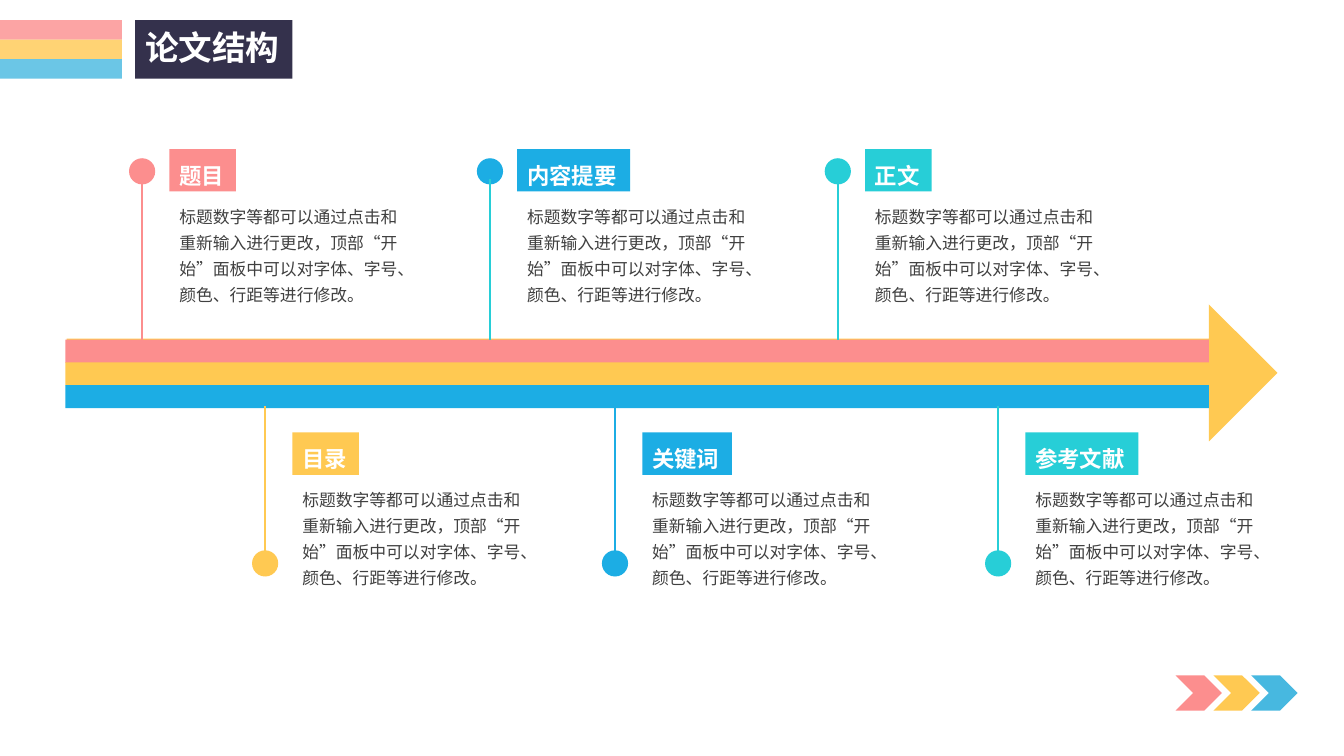
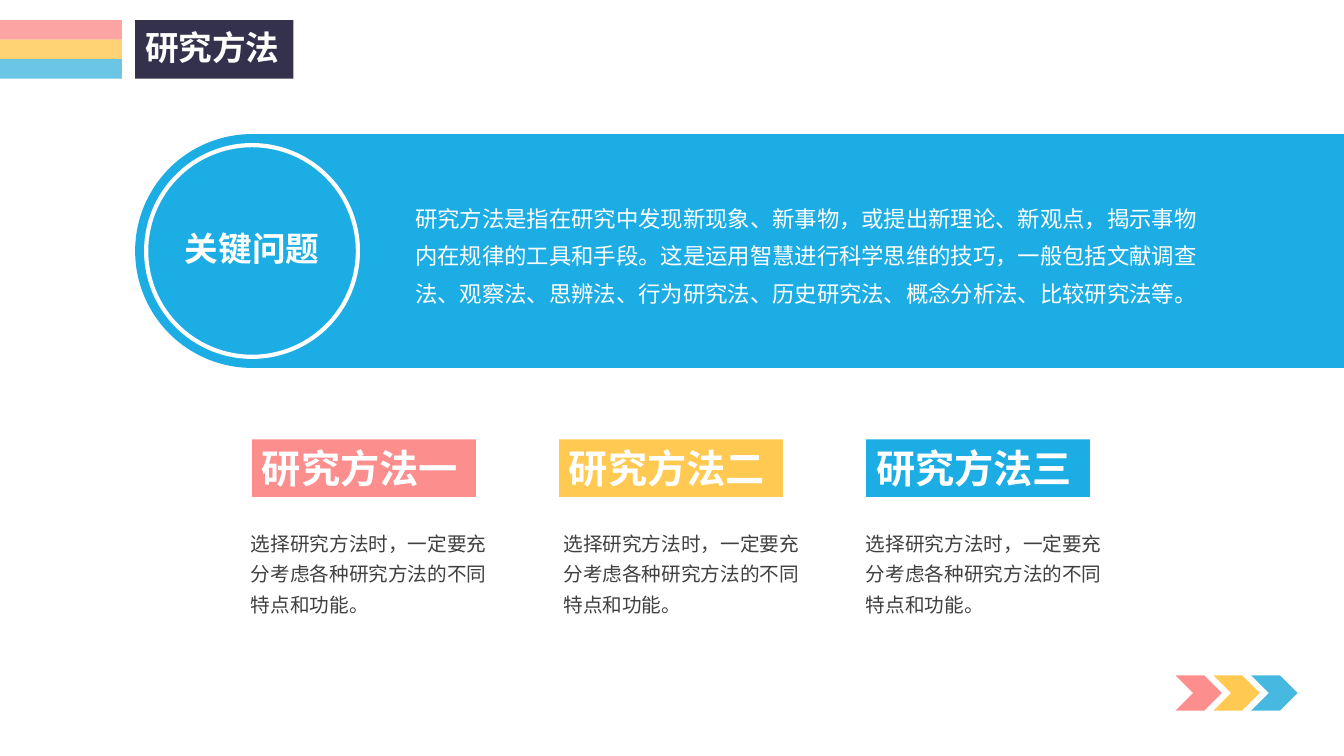
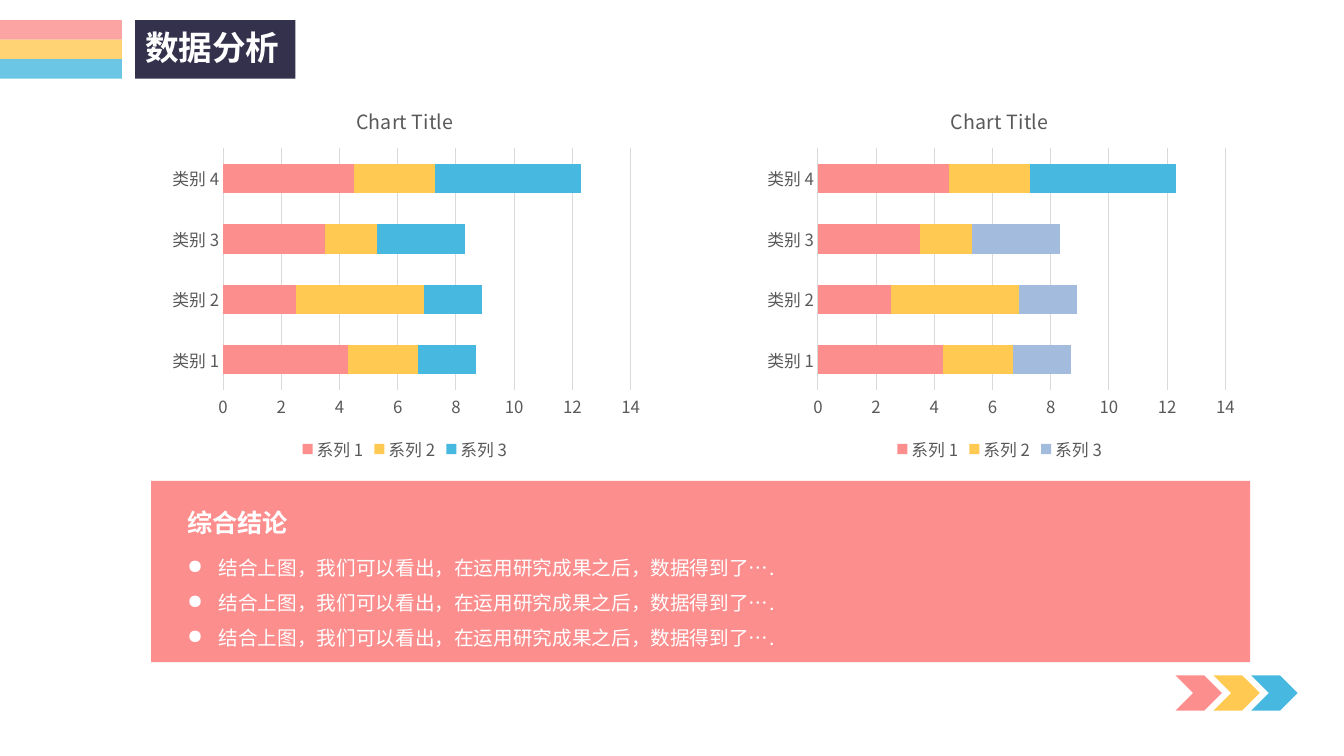
from dataclasses import dataclass

from lxml import etree
from pptx import Presentation, util as u
from pptx.chart import data
from pptx.dml import color
from pptx.enum import chart as charts, shapes, text
from pptx.oxml import ns

Inches, Pt = u.Inches, u.Pt
SHAPE = shapes.MSO_SHAPE


@dataclass(frozen=True)
class Theme:
    pink: str = "FC8E8E"
    yellow: str = "FFC952"
    sky: str = "47B8E0"
    blue: str = "1CADE4"
    teal: str = "27CED7"
    lilac: str = "A3BBDC"
    navy: str = "34314C"
    white: str = "FFFFFF"
    ink: str = "404040"
    axis: str = "595959"
    grid: str = "D9D9D9"
    body_font: str = "Noto Sans CJK SC"
    tag_font: str = "Calibri"
    small: int = 12
    body: int = 14
    lead: int = 16
    heading: int = 18
    title: int = 24
    large: int = 28
    line_height: float = 1.19


T = Theme()


def rgb(value):
    return color.RGBColor.from_string(value)


def add_east_asian(element):
    for latin in list(element.iter(ns.qn("a:latin"))):
        ea = etree.Element(ns.qn("a:ea"), typeface=T.body_font)
        latin.addnext(ea)


class Deck:
    def __init__(self):
        self.prs = Presentation()
        self.prs.slide_width = Inches(13.33)
        self.prs.slide_height = Inches(7.5)
        self.s = None

    def slide(self, title, title_width):
        self.s = self.prs.slides.add_slide(self.prs.slide_layouts[6])
        band = 0.58 / 3
        for i, fill in enumerate((T.pink, T.yellow, T.sky)):
            self.shape(SHAPE.RECTANGLE, 0, 0.2 + i * band, 1.21, band, fill, alpha=80)
            self.shape(SHAPE.CHEVRON, 11.66 + i * 0.375, 6.7, 0.46, 0.35, fill)
        sp = self.shape(SHAPE.RECTANGLE, 1.34, 0.2, title_width, 0.58, T.navy)
        sp.text_frame.vertical_anchor = text.MSO_ANCHOR.MIDDLE
        self.set_text(sp, [title], T.title, T.white, bold=True, spacing=0.9)

    def shape(self, kind, x, y, w, h, fill=None, line=None, alpha=None):
        sp = self.s.shapes.add_shape(kind, Inches(x), Inches(y), Inches(w), Inches(h))
        sp.shadow.inherit = False
        sp.text_frame.vertical_anchor = text.MSO_ANCHOR.TOP
        if fill:
            sp.fill.solid()
            sp.fill.fore_color.rgb = rgb(fill)
        else:
            sp.fill.background()
        if alpha:
            clr = sp._element.spPr.find(".//" + ns.qn("a:srgbClr"))
            etree.SubElement(clr, ns.qn("a:alpha"), val=str(alpha * 1000))
        if line:
            sp.line.color.rgb = rgb(line)
            sp.line.width = Pt(3)
        else:
            sp.line.fill.background()
        return sp

    def set_text(self, sp, lines, size, ink, font=T.body_font, bold=False,
                 spacing=None, align=text.PP_ALIGN.LEFT, bullet=None):
        tf = sp.text_frame
        tf.word_wrap = True
        tf.text = "\n".join(lines)
        for p in tf.paragraphs:
            p.alignment = align
            p.line_spacing = spacing
            if bullet:
                pPr = p._p.get_or_add_pPr()
                pPr.set("marL", str(Inches(0.31)))
                pPr.set("indent", str(-Inches(0.31)))
                etree.SubElement(pPr, ns.qn("a:buChar"), char=bullet)
            for r in p.runs:
                r.font.name = font
                r.font.size = Pt(size)
                r.font.bold = bold
                r.font.color.rgb = rgb(ink)
        add_east_asian(tf._txBody)

    def leading(self, size, factor):
        return Pt(round(size * T.line_height * factor, 1))

    def textbox(self, x, y, w, h, lines, size, ink=T.ink, factor=1.3, **style):
        sp = self.s.shapes.add_textbox(Inches(x), Inches(y), Inches(w), Inches(h))
        style.setdefault("spacing", self.leading(size, factor))
        self.set_text(sp, lines, size, ink, **style)

    def tag(self, x, y, w, h, label, fill, size, factor):
        sp = self.shape(SHAPE.RECTANGLE, x, y, w, h, fill)
        self.set_text(sp, [label], size, T.white, T.tag_font, True, self.leading(size, factor))
        sp.text_frame.margin_bottom = 0

    def stem(self, x, top, bottom, ink):
        c = self.s.shapes.add_connector(shapes.MSO_CONNECTOR.STRAIGHT, Inches(x),
                                        Inches(top), Inches(x), Inches(bottom))
        c.line.color.rgb = rgb(ink)
        c.line.width = Pt(1)
        etree.SubElement(c._element.spPr, ns.qn("a:effectLst"))

    def milestone(self, x, tag_y, dot_y, stem, label, note, fill, stem_ink):
        self.textbox(x + 0.27, tag_y + 0.46, 2.46, 1.15, [note], T.small)
        self.tag(x + 0.27, tag_y, 0.2 + 0.23 * len(label), 0.42, label, fill, T.lead, 1.3)
        self.shape(SHAPE.OVAL, x - 0.13, dot_y, 0.26, 0.26, fill)
        self.stem(x, *stem, stem_ink)

    def set_font(self, font, size=T.small):
        font.name = T.body_font
        font.size = Pt(size)
        font.bold = False
        font.color.rgb = rgb(T.axis)

    def bar_chart(self, x, title, categories, series, colors, points):
        chart_data = data.CategoryChartData()
        chart_data.categories = categories
        for name, values in series:
            chart_data.add_series(name, values)
        chart = self.s.shapes.add_chart(
            charts.XL_CHART_TYPE.BAR_STACKED, Inches(x), Inches(0.87),
            Inches(4.87), Inches(3.75), chart_data).chart
        self.set_font(chart.font)
        chart.has_title = True
        chart.chart_title.text_frame.text = title
        self.set_font(chart.chart_title.text_frame.paragraphs[0].runs[0].font, T.body)
        chart.has_legend = True
        chart.legend.position = charts.XL_LEGEND_POSITION.BOTTOM
        chart.legend.include_in_layout = False
        self.set_font(chart.legend.font)

        for axis in (chart.category_axis, chart.value_axis):
            axis.major_tick_mark = axis.minor_tick_mark = charts.XL_TICK_MARK.NONE
            self.set_font(axis.tick_labels.font)
        value_axis = chart.value_axis
        value_axis.minimum_scale, value_axis.maximum_scale, value_axis.major_unit = 0, 14, 2
        value_axis.format.line.fill.background()
        for line in (chart.category_axis.format.line, value_axis.major_gridlines.format.line):
            line.color.rgb = rgb(T.grid)
            line.width = Pt(0.75)

        plot = chart.plots[0]
        plot.gap_width, plot.overlap, plot.vary_by_categories = 105, 100, False
        for ser, fill in zip(plot.series, colors):
            ser.invert_if_negative = False
            ser.format.fill.solid()
            ser.format.fill.fore_color.rgb = rgb(fill)
        for (ser_index, index), fill in points.items():
            point_fill = plot.series[ser_index].points[index].format.fill
            point_fill.solid()
            point_fill.fore_color.rgb = rgb(fill)
        self.place_plot(chart, x=0.13, y=0.16, w=0.83, h=0.64)
        add_east_asian(chart._chartSpace)

    def place_plot(self, chart, **box):
        area = chart._chartSpace.find(".//" + ns.qn("c:plotArea"))
        layout = area.find(ns.qn("c:layout"))
        if layout is None:
            layout = etree.Element(ns.qn("c:layout"))
            area.insert(0, layout)
        manual = etree.SubElement(layout, ns.qn("c:manualLayout"))
        settings = {"layoutTarget": "inner", "xMode": "edge", "yMode": "edge", **box}
        for key, value in settings.items():
            etree.SubElement(manual, ns.qn("c:" + key), val=str(value))


def structure_slide(d):
    d.slide("论文结构", 1.56)
    d.shape(SHAPE.RIGHT_ARROW, 0.66, 3.02, 12.01, 1.36, T.yellow)
    for i, fill in enumerate((T.pink, T.yellow, T.blue)):
        d.shape(SHAPE.RECTANGLE, 0.65, 3.37 + i * 0.225, 11.34, 0.23, fill)
    note = "标题数字等都可以通过点击和重新输入进行更改，顶部“开始”面板中可以对字体、字号、颜色、行距等进行修改。"
    above = [("题目", T.pink, T.pink), ("内容提要", T.blue, T.teal), ("正文", T.teal, T.teal)]
    for i, (label, fill, ink) in enumerate(above):
        d.milestone(1.41 + i * 3.45, 1.48, 1.57, (1.78, 3.37), label, note, fill, ink)
    below = [(2.63, "目录", T.yellow), (6.1, "关键词", T.blue), (9.9, "参考文献", T.teal)]
    for x, label, fill in below:
        d.milestone(x, 4.29, 5.46, (4.03, 5.63), label, note, fill, fill)


def methods_slide(d):
    d.slide("研究方法", 1.57)
    d.shape(SHAPE.RECTANGLE, 2.5, 1.33, 10.83, 2.32, T.blue)
    d.shape(SHAPE.OVAL, 1.34, 1.33, 2.32, 2.32, T.blue)
    d.textbox(1.72, 2.26, 1.56, 0.46, ["关键问题"], T.title, T.white, bold=True,
              spacing=0.9, align=text.PP_ALIGN.CENTER)
    d.shape(SHAPE.OVAL, 1.45, 1.44, 2.1, 2.1, line=T.white)
    d.textbox(4.02, 1.88, 8.01, 1.23, [
        "研究方法是指在研究中发现新现象、新事物，或提出新理论、新观点，揭示事物"
        "内在规律的工具和手段。这是运用智慧进行科学思维的技巧，一般包括文献调查"
        "法、观察法、思辨法、行为研究法、历史研究法、概念分析法、比较研究法等。",
    ], T.lead, T.white, 1.4)
    methods = [("研究方法一", T.pink, 2.39), ("研究方法二", T.yellow, 5.49),
               ("研究方法三", T.blue, 8.49)]
    for i, (label, fill, note_x) in enumerate(methods):
        d.tag(2.5 + i * 3.045, 4.36, 2.22, 0.57, label, fill, T.large, 1)
        d.textbox(note_x, 5.16, 2.54, 0.99,
                  ["选择研究方法时，一定要充分考虑各种研究方法的不同特点和功能。"], T.body)


def analysis_slide(d):
    d.slide("数据分析", 1.59)
    d.shape(SHAPE.RECTANGLE, 1.5, 4.77, 10.9, 1.8, T.pink)
    categories = [f"类别 {i}" for i in range(1, 5)]
    series = [("系列 1", (4.3, 2.5, 3.5, 4.5)), ("系列 2", (2.4, 4.4, 1.8, 2.8)),
              ("系列 3", (2, 2, 3, 5))]
    for x, last, points in ((1.58, T.sky, {}), (7.48, T.lilac, {(2, 3): T.sky})):
        d.bar_chart(x, "Chart Title", categories, series, (T.pink, T.yellow, last), points)
    d.textbox(1.76, 5.35, 10.21, 1.16,
              ["结合上图，我们可以看出，在运用研究成果之后，数据得到了…."] * 3,
              T.body, T.white, 1.5, bullet="●")
    d.textbox(1.76, 4.9, 1.24, 0.49, ["综合结论"], T.heading, T.white,
              font=T.tag_font, bold=True)


def main():
    d = Deck()
    structure_slide(d)
    methods_slide(d)
    analysis_slide(d)
    d.prs.save("out.pptx")


if __name__ == "__main__":
    main()
